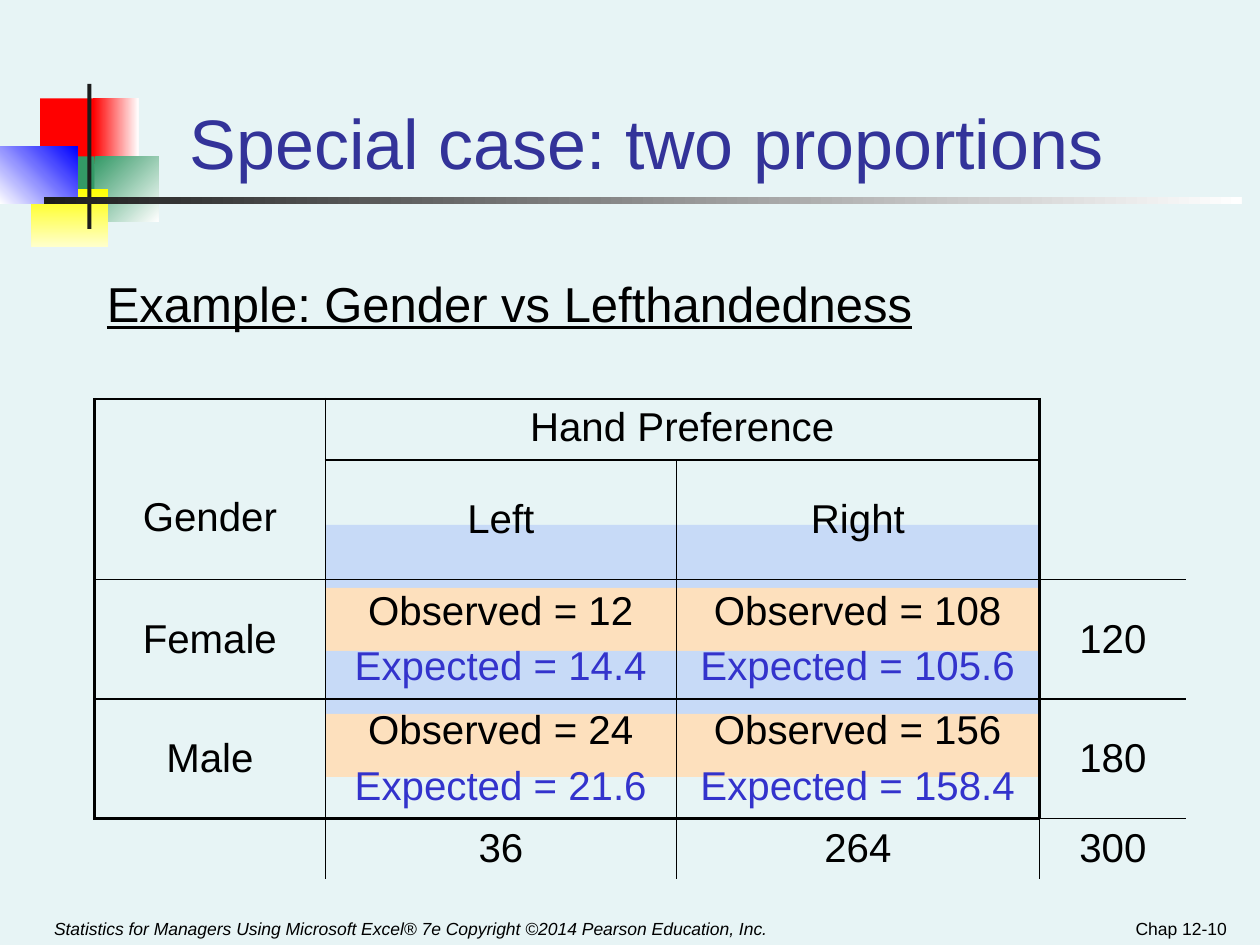
"""Build the slide on two proportions with its contingency table."""
from lxml import etree
from pptx import Presentation
from pptx.dml.color import RGBColor
from pptx.enum.shapes import MSO_SHAPE
from pptx.enum.text import MSO_ANCHOR, MSO_AUTO_SIZE, PP_ALIGN
from pptx.oxml.ns import qn
from pptx.util import Pt

RECT = MSO_SHAPE.RECTANGLE
TOP, MID, LOW = MSO_ANCHOR.TOP, MSO_ANCHOR.MIDDLE, MSO_ANCHOR.BOTTOM
LEFT, CENTER, RIGHT = PP_ALIGN.LEFT, PP_ALIGN.CENTER, PP_ALIGN.RIGHT
HEX = {
    "back": "E7F4F5", "black": "000000", "white": "FFFFFF", "ink": "1C1C1C",
    "red": "FF0000", "green": "339966", "yellow": "FFFF00", "cream": "FFFFCC",
    "blue": "0000FF", "title": "333399", "expect": "3333CC",
    "sky": "C7DAF7", "peach": "FDE0BD",
}
RGB = {name: RGBColor.from_string(code) for name, code in HEX.items()}


def add_rect(box, color, end=None, angle=0):
    rect = slide.shapes.add_shape(RECT, *[Pt(v) for v in box])
    rect.shadow.inherit = False
    rect.line.fill.background()
    if end:
        rect.fill.gradient()
        rect.fill.gradient_angle = angle
        for stop, name in zip(rect.fill.gradient_stops, (color, end)):
            stop.color.rgb = RGB[name]
    else:
        rect.fill.solid()
        rect.fill.fore_color.rgb = RGB[color]


def set_text(frame, text, size, align, color="black"):
    frame.text = text
    frame.word_wrap = True
    for para in frame.paragraphs:
        para.alignment = align
        for run in para.runs:
            run.font.name = "Arial"
            run.font.size = Pt(size)
            run.font.color.rgb = RGB[color]


deck = Presentation()
deck.slide_width, deck.slide_height = Pt(720), Pt(540)
slide = deck.slides.add_slide(deck.slide_layouts[5])
slide.background.fill.solid()
slide.background.fill.fore_color.rgb = RGB["back"]

for art in (
    ((23, 56.2, 34.5, 37.4), "red"),
    ((53.3, 56.2, 25.9, 37.4), "red", "white"),
    ((54, 89.3, 36.7, 37.4), "green", "white", 315),
    ((31, 89.3, 23, 37.4), "green"),
    ((18, 108, 44, 33.1), "yellow", "cream", 270),
    ((0, 83.5, 44.2, 33.1), "white", "blue", 45),
    ((49.9, 48, 2.3, 82.8), "ink"),
    ((25.2, 112.5, 684.3, 4.1), "ink", "white"),
):
    add_rect(*art)

for i in range(4):
    add_rect((186, 300 + 36 * i, 408, 36), ("sky", "peach")[i % 2])

title = slide.shapes.title
title.left, title.top, title.width, title.height = Pt(90.7), Pt(30), Pt(557.3), Pt(78)
set_text(title.text_frame, "Special case: two proportions", 40, CENTER, "title")
title.text_frame.auto_size = MSO_AUTO_SIZE.NONE
title.text_frame.vertical_anchor = LOW
title.text_frame.paragraphs[0].line_spacing = 0.8

credit = "Statistics for Managers Using Microsoft Excel® 7e Copyright ©2014 Pearson Education, Inc."
for box, text, size, align, anchor, style in (
    ((23.8, 510, 456, 30), credit, 10, LEFT, LOW, "italic"),
    ((540, 515, 168, 25), "Chap 12-10", 10, RIGHT, LOW, None),
    ((54, 152.5, 480, 41), "Example: Gender vs Lefthandedness", 28, LEFT, TOP, "underline"),
):
    frame = slide.shapes.add_textbox(*[Pt(v) for v in box]).text_frame
    set_text(frame, text, size, align)
    frame.vertical_anchor = anchor
    font = frame.paragraphs[0].runs[0].font
    font.italic = style == "italic"
    font.underline = style == "underline"

rows = [
    ["Gender", "Hand Preference", "", ""],
    ["", "Left", "Right", ""],
    ["Female", "Observed = 12\nExpected = 14.4", "Observed = 108\nExpected = 105.6", "120"],
    ["Male", "Observed = 24\nExpected = 21.6", "Observed = 156\nExpected = 158.4", "180"],
    ["", "36", "264", "300"],
]
wide = [132, 200.6, 207.4, 84]
high = [34.6, 68.3, 68.3, 68.3, 34.6]
table = slide.shapes.add_table(
    5, 4, Pt(54), Pt(228), Pt(sum(wide)), Pt(sum(high))).table
table.first_row = table.horz_banding = False
for col, width in zip(table.columns, wide):
    col.width = Pt(width)
for row, height in zip(table.rows, high):
    row.height = Pt(height)
for start, end in (((0, 0), (1, 0)), ((0, 1), (0, 2)), ((0, 3), (1, 3))):
    table.cell(*start).merge(table.cell(*end))

THIN, THICK = 1.08, 1.47
upright = [[THICK, THIN, 0, THICK, 0]] + [[THICK, THIN, THIN, THICK, 0]] * 3
upright += [[0, THIN, THIN, THIN, 0]]
level = [[THICK] * 3 + [0], [0, THIN, THIN, 0], [THIN] * 4, [THIN] * 4,
         [THICK] * 3 + [THIN], [0] * 4]

for r, row in enumerate(rows):
    for c, text in enumerate(row):
        cell = table.cell(r, c)
        cell.fill.background()
        cell.vertical_anchor = MID
        cell.margin_left = cell.margin_right = Pt(7.2)
        cell.margin_top = cell.margin_bottom = Pt(3.6)
        if text:
            set_text(cell.text_frame, text, 23, CENTER)
        for para in cell.text_frame.paragraphs[1:]:
            para.space_before = Pt(5.8)
            para.runs[0].font.color.rgb = RGB["expect"]
        down = cell.span_height if cell.is_merge_origin else 1
        over = cell.span_width if cell.is_merge_origin else 1
        edges = {"L": upright[r][c], "R": upright[r][c + over],
                 "T": level[r][c], "B": level[r + down][c]}
        props = cell._tc.get_or_add_tcPr()
        for i, (side, width) in enumerate(edges.items()):
            line = etree.Element(qn("a:ln" + side), w=str(Pt(width)))
            props.insert(i, line)
            if width:
                fill = etree.SubElement(line, qn("a:solidFill"))
                etree.SubElement(fill, qn("a:srgbClr"), val=HEX["black"])
            else:
                etree.SubElement(line, qn("a:noFill"))
table.cell(0, 0).margin_top = Pt(36)
table.cell(0, 1).vertical_anchor = TOP

deck.save("out.pptx")
